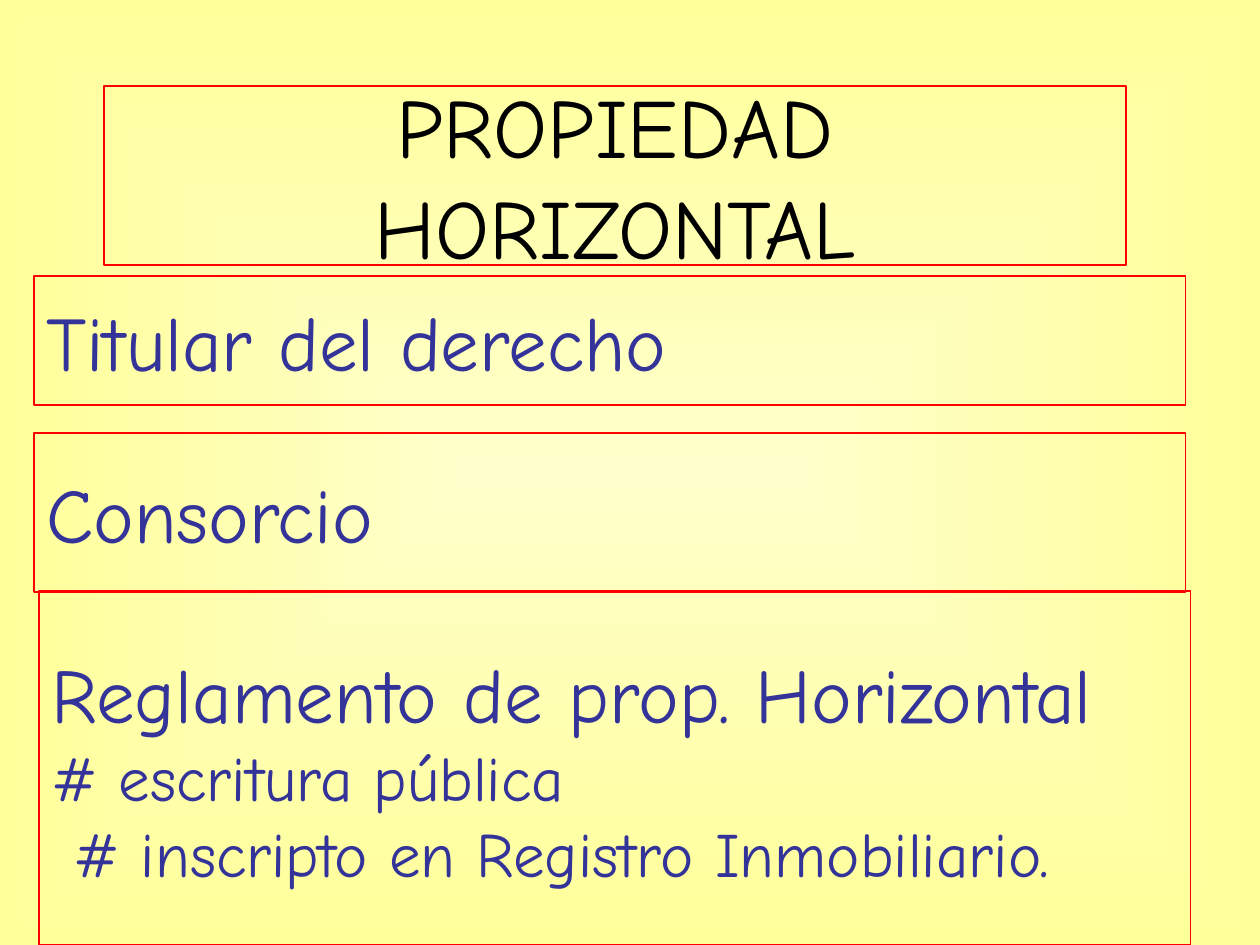
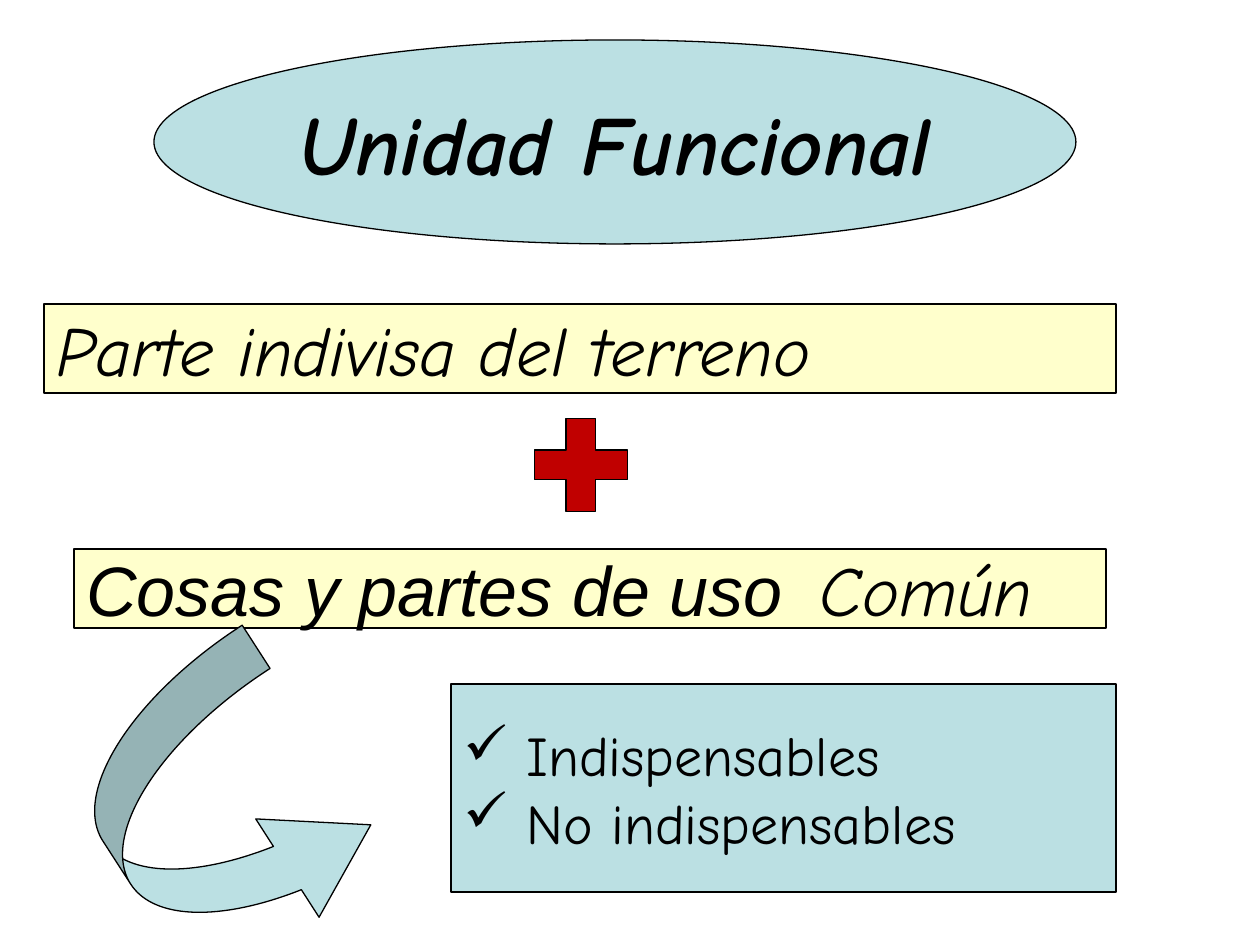
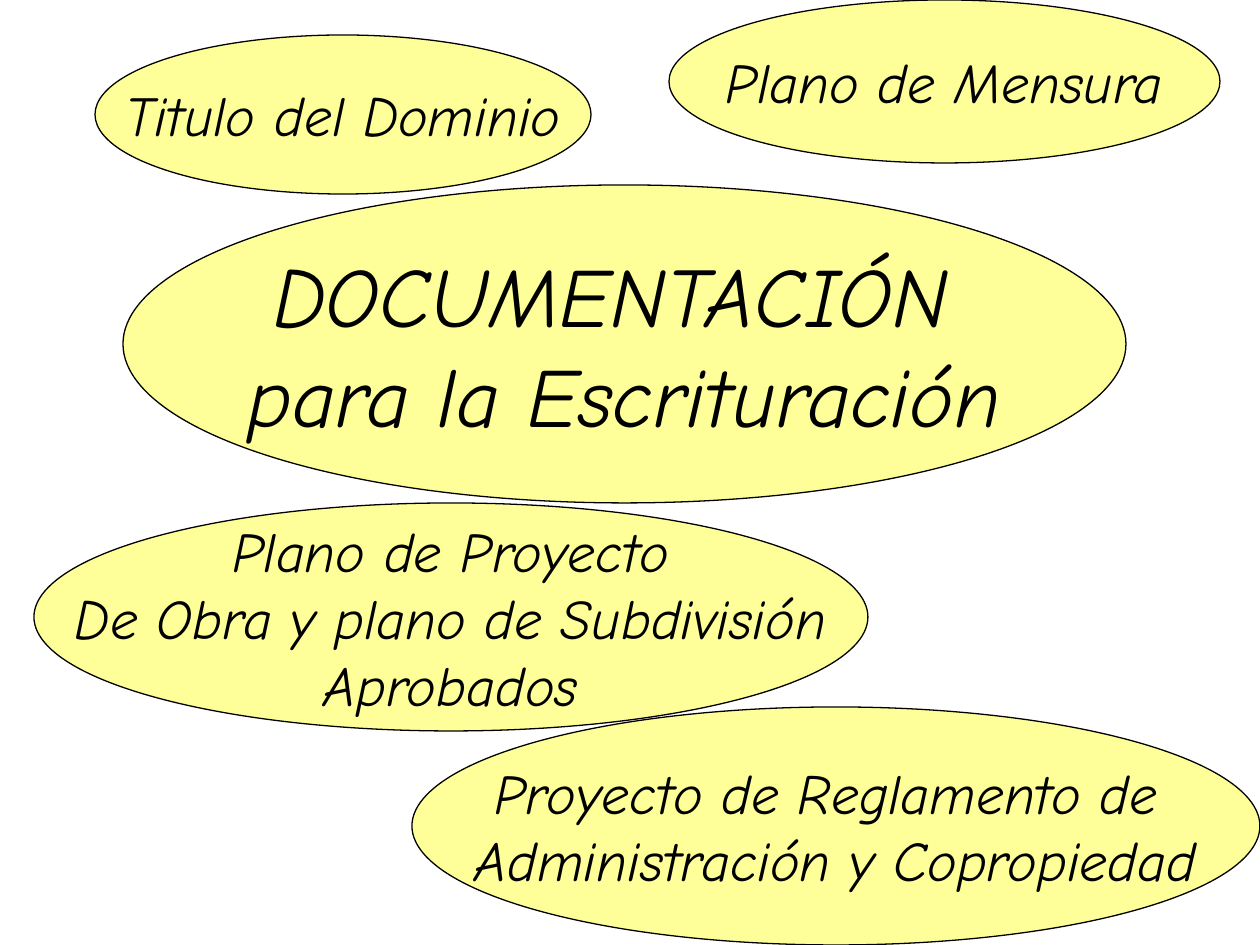
import itertools
import lxml.etree
import pptx
import pptx.dml.color
import pptx.enum.shapes
import pptx.enum.text
import pptx.oxml.ns
import pptx.util

PX = 7257
SANS = "Comic Neue"
BLACK, RED, NAVY = "000000", "FF0000", "333399"
CREAM, LEMON, AQUA, BLOOD = "FFFFCC", "FFFF99", "BBE0E3", "C00000"
KINDS = pptx.enum.shapes.MSO_SHAPE
SIDES = pptx.enum.text.PP_ALIGN
qn = pptx.oxml.ns.qn


def tint(code):
    return pptx.dml.color.RGBColor.from_string(code)


def write(slide, text, box, kind=None, fill=None, line=None, sizes=(32,), hue=BLACK,
          font=SANS, bold=False, slant=False, side=SIDES.CENTER, wrap=False):
    left, top, width, height = [n * PX for n in box]
    if kind is None:
        shape = slide.shapes.title
        shape.left, shape.top, shape.width, shape.height = left, top, width, height
    else:
        shape = slide.shapes.add_shape(kind, left, top, width, height)
        shape.shadow.inherit = False
    if fill:
        shape.fill.solid()
        shape.fill.fore_color.rgb = tint(fill)
    else:
        shape.fill.background()
    if line:
        shape.line.color.rgb = tint(line)
        shape.line.width = pptx.util.Pt(0.75)
    else:
        shape.line.fill.background()
    frame = shape.text_frame
    frame.auto_size = pptx.enum.text.MSO_AUTO_SIZE.NONE
    frame.vertical_anchor = pptx.enum.text.MSO_ANCHOR.MIDDLE
    frame.word_wrap = wrap
    frame.text = text
    for para, size in zip(frame.paragraphs, itertools.cycle(sizes)):
        para.alignment = side
        for run in para.runs:
            run.font.name = font
            run.font.size = pptx.util.Pt(size)
            run.font.bold = bold
            run.font.italic = slant
            run.font.color.rgb = tint(hue)
    return shape


deck = pptx.Presentation()
deck.slide_width = pptx.util.Inches(10)
deck.slide_height = pptx.util.Inches(7.5)
plain = deck.slide_layouts[5]

# Propiedad horizontal
slide = deck.slides.add_slide(plain)
ground = slide.background.fill
ground.gradient()
for stop, code in zip(ground.gradient_stops, (CREAM, LEMON)):
    stop.color.rgb = tint(code)
ramp = next(slide.element.iter(qn("a:lin")))
glow = lxml.etree.Element(qn("a:path"), path="rect")
lxml.etree.SubElement(glow, qn("a:fillToRect"), l="50000", t="50000", r="50000", b="50000")
ramp.getparent().replace(ramp, glow)

write(slide, "PROPIEDAD\nHORIZONTAL", (104, 86, 1022, 179), line=RED, sizes=(48,), wrap=True)
rules = "Reglamento de prop. Horizontal\n# escritura pública\n# inscripto en Registro Inmobiliario."
for text, box in (
    ("Titular del derecho", (34, 276, 1152, 129)),
    ("Consorcio", (34, 433, 1152, 159)),
    (rules, (39, 591, 1152, 354)),
):
    panel = write(slide, text, box, KINDS.RECTANGLE, line=RED, sizes=(44, 36, 36),
                  hue=NAVY, side=SIDES.LEFT, wrap=True)
panel.text_frame.paragraphs[2]._p.get_or_add_pPr().set("marL", str(22 * PX))

# Unidad funcional
slide = deck.slides.add_slide(plain)
box = (154, 40, 922, 204)
oval = write(slide, "", box, KINDS.OVAL, AQUA, BLACK)
head = write(slide, "Unidad Funcional", box, sizes=(48,), bold=True, slant=True)
head.element.addprevious(oval.element)

bar = dict(kind=KINDS.RECTANGLE, fill=CREAM, line=BLACK, sizes=(40,), slant=True,
           side=SIDES.LEFT, wrap=True)
write(slide, "Parte indivisa del terreno", (44, 304, 1072, 89), **bar)
shared = write(slide, "Cosas y partes de uso\t", (74, 549, 1032, 79), font="Arial", **bar)
para = shared.text_frame.paragraphs[0]
tabs = lxml.etree.SubElement(para._p.get_or_add_pPr(), qn("a:tabLst"))
lxml.etree.SubElement(tabs, qn("a:tab"), pos=str(733 * PX), algn="l")
last = para.add_run()
last.text = "Común"
last.font.name = SANS
last.font.size = pptx.util.Pt(40)
last.font.italic = True
last.font.color.rgb = tint(BLACK)

checks = write(slide, "Indispensables\nNo indispensables", (451, 684, 665, 208),
               KINDS.RECTANGLE, AQUA, BLACK, side=SIDES.LEFT, wrap=True)
for para in checks.text_frame.paragraphs:
    props = para._p.get_or_add_pPr()
    props.set("marL", str(63 * PX))
    props.set("indent", str(-63 * PX))
    lxml.etree.SubElement(props, qn("a:buChar"), char="✓")

arrow = write(slide, "", (76, 696, 296, 234), KINDS.CURVED_UP_ARROW, AQUA, BLACK)
arrow.rotation = 57.2
for slot, ratio in enumerate((0.22, 0.5, 0.4)):
    arrow.adjustments[slot] = ratio
write(slide, "", (518, 402, 126, 126), KINDS.MATH_PLUS, BLOOD, BLACK)

# Documentación
slide = deck.slides.add_slide(plain)
box = (123, 185, 1003, 318)
oval = write(slide, "", box, KINDS.OVAL, LEMON, BLACK)
head = write(slide, "DOCUMENTACIÓN \npara la Escrituración", box, sizes=(48,), slant=True)
head.element.addprevious(oval.element)
for text, box in (
    ("Titulo del Dominio", (95, 35, 496, 159)),
    ("Plano de Mensura", (669, 0, 551, 163)),
    ("Proyecto de Reglamento de \nAdministración y Copropiedad", (412, 707, 848, 238)),
    ("Plano de Proyecto\nDe Obra y plano de Subdivisión\nAprobados", (34, 503, 834, 228)),
):
    write(slide, text, box, KINDS.OVAL, LEMON, BLACK, slant=True)

deck.save("out.pptx")
